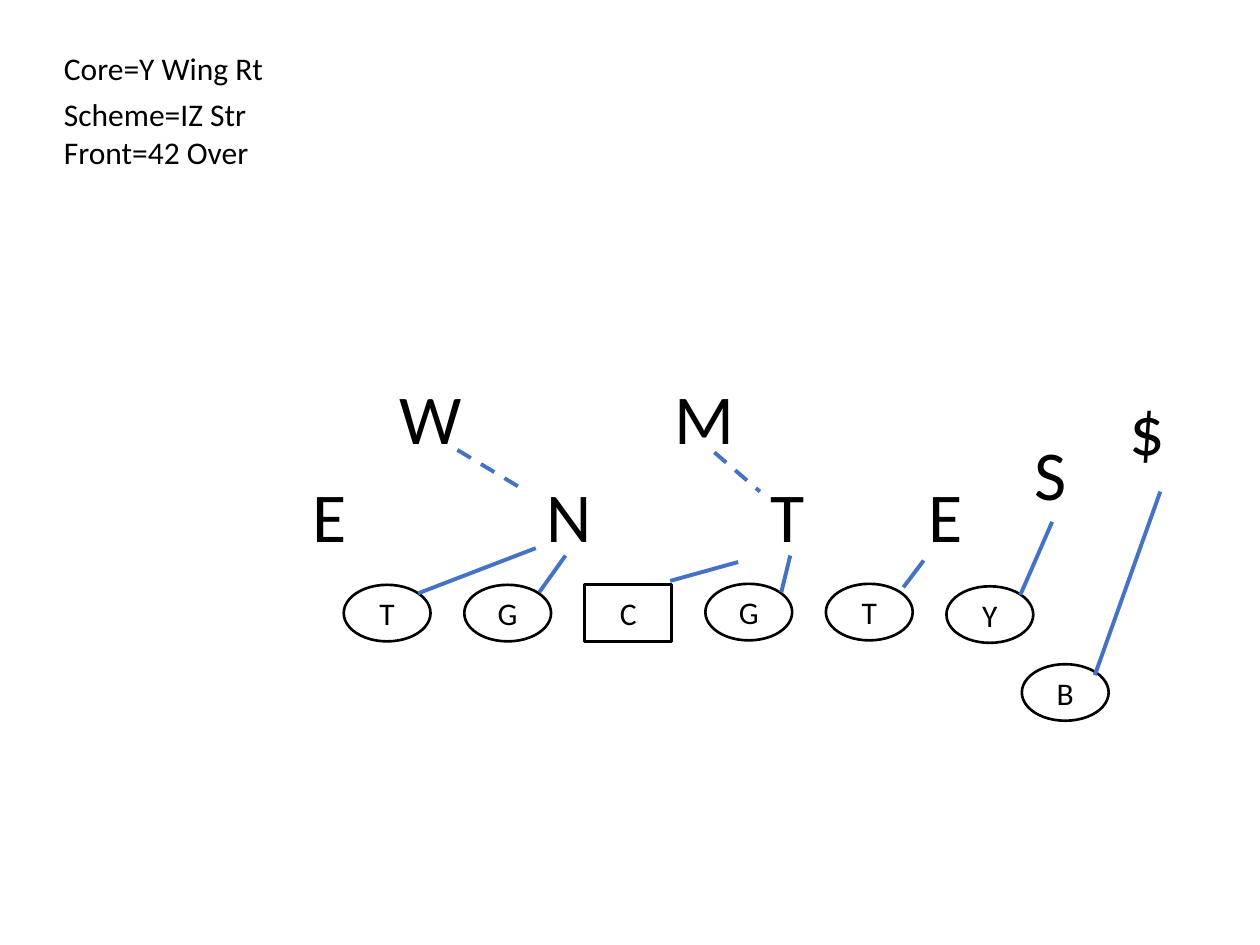
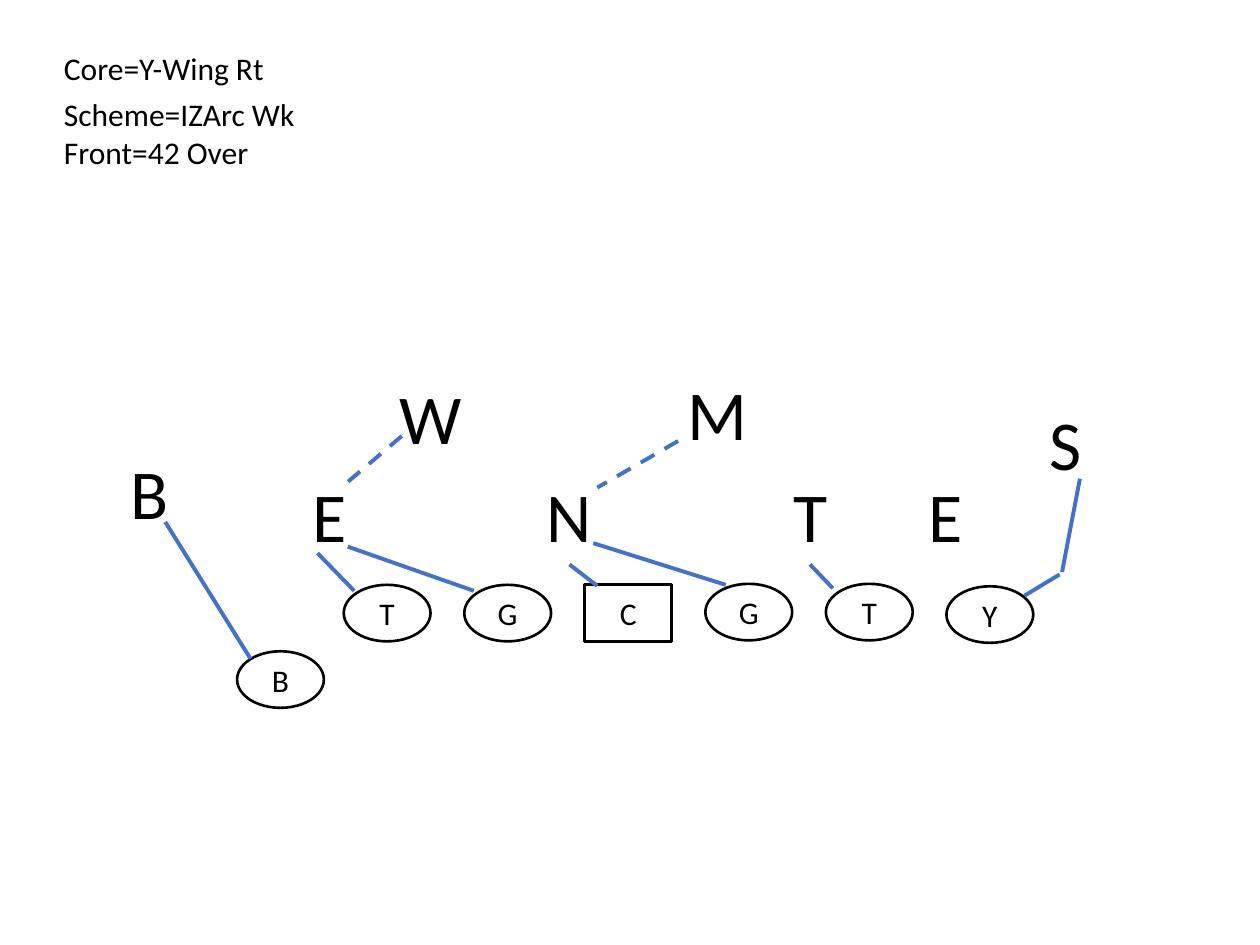
from lxml.etree import SubElement
from pptx import Presentation
from pptx.dml.color import RGBColor
from pptx.enum.dml import MSO_LINE
from pptx.enum.shapes import MSO_CONNECTOR, MSO_SHAPE
from pptx.enum.text import MSO_ANCHOR, MSO_AUTO_SIZE, PP_ALIGN
from pptx.oxml.ns import qn
from pptx.util import Cm, Pt

BLACK = RGBColor(0x00, 0x00, 0x00)
WHITE = RGBColor(0xFF, 0xFF, 0xFF)
BLUE = RGBColor(0x44, 0x72, 0xC4)
FONT = "Calibri"

CALL_BOX = (1.04, 0.86)
FIELD_BOX = (2.39, 7.34)

CALL_TOPS = (0, 0.94, 1.7)
CALL_HEIGHT = 1.02

PLAYER_W, PLAYER_H = 1.75, 1.14
LINE_LEFT, LINE_TOP, LINE_PITCH = 4.54, 4.43, 2.43
LINEMEN = [("T", 0.02), ("G", 0.02), ("C", 0.02), ("G", 0), ("T", 0), ("Y", 0.05)]

FRONT_TOP = 2.06
DEFENDER_H = 1.96
DEFENDER_W = {"N": 1.42, "T": 1.22, "E": 1.22, "S": 1.22,
              "W": 1.78, "M": 1.78, "$": 1.24, "B": 1.3}
COMMON_DEFENDERS = [("E", 3.66, FRONT_TOP), ("N", 8.38, FRONT_TOP),
                    ("E", 16.08, FRONT_TOP), ("W", 5.41, 0.08)]

PLAYS = [
    {
        "calls": [("Core=Y Wing Rt", 4.57), ("Scheme=IZ Str", 4.22), ("Front=42 Over", 4.42)],
        "back": (18.21, 6.05),
        "defenders": [("T", 12.9, FRONT_TOP), ("M", 10.95, 0.08),
                      ("S", 18.21, 1.22), ("$", 20.14, 0.31)],
        "blocks": [
            (8.48, 4.6, 9.01, 3.86),
            (11.12, 4.37, 12.49, 3.99),
            (13.36, 4.6, 13.54, 3.86),
            (6.04, 4.62, 8.41, 3.71),
            (16.23, 3.96, 15.82, 4.5),
            (18.18, 4.65, 18.82, 3.18),
            (19.68, 6.27, 21, 2.57),
        ],
        "climbs": [(12.01, 1.78, 12.93, 2.57), (6.83, 1.73, 8.23, 2.57)],
    },
    {
        "calls": [("Core=Y-Wing Rt", 4.62), ("Scheme=IZArc Wk", 5.21), ("Front=42 Over", 4.27)],
        "back": (2.39, 5.79),
        "defenders": [("T", 13.36, FRONT_TOP), ("M", 11.22, 0),
                      ("S", 18.51, 0.61), ("B", 0, 1.6)],
        "blocks": [
            (0.94, 3.18, 2.66, 5.94),
            (4.01, 3.81, 4.75, 4.57),
            (4.62, 3.68, 7.16, 4.57),
            (9.09, 4.04, 9.65, 4.47),
            (9.57, 3.61, 12.24, 4.45),
            (13.94, 4.04, 14.4, 4.52),
            (18.97, 4.24, 18.26, 4.67),
            (19.38, 2.31, 19.02, 4.19),
        ],
        "climbs": [(5.71, 1.45, 4.52, 2.46), (11.28, 1.55, 9.65, 2.49)],
    },
]


def add_run(p, text, size):
    r = p.add_run()
    r.text = text
    r.font.name = FONT
    r.font.size = Pt(size)
    r.font.color.rgb = BLACK


def add_label(s, text, left, top, width, height, size):
    sp = s.shapes.add_textbox(Cm(left), Cm(top), Cm(width), Cm(height))
    tf = sp.text_frame
    tf.word_wrap = False
    tf.auto_size = MSO_AUTO_SIZE.SHAPE_TO_FIT_TEXT
    add_run(tf.paragraphs[0], text, size)


def add_player(s, label, left, top):
    kind = MSO_SHAPE.RECTANGLE if label == "C" else MSO_SHAPE.OVAL
    sp = s.shapes.add_shape(kind, Cm(left), Cm(top), Cm(PLAYER_W), Cm(PLAYER_H))
    sp.shadow.inherit = False
    sp.fill.solid()
    sp.fill.fore_color.rgb = WHITE
    sp.line.color.rgb = BLACK
    sp.line.width = Pt(1.5)
    tf = sp.text_frame
    tf.vertical_anchor = MSO_ANCHOR.MIDDLE
    p = tf.paragraphs[0]
    p.alignment = PP_ALIGN.CENTER
    add_run(p, label, 18)


def add_path(s, x1, y1, x2, y2, dashed):
    cx = s.shapes.add_connector(MSO_CONNECTOR.STRAIGHT, Cm(x1), Cm(y1), Cm(x2), Cm(y2))
    cx.line.color.rgb = BLUE
    cx.line.width = Pt(2.25)
    if dashed:
        cx.line.dash_style = MSO_LINE.DASH
    SubElement(cx._element.spPr, qn("a:effectLst"))


def add_calls(s, box, calls):
    x, y = box
    for (text, width), top in zip(calls, CALL_TOPS):
        add_label(s, text, x, y + top, width, CALL_HEIGHT, 18)


def add_offense(s, box, back):
    x, y = box
    for i, (label, drop) in enumerate(LINEMEN):
        add_player(s, label, x + LINE_LEFT + i * LINE_PITCH, y + LINE_TOP + drop)
    add_player(s, "B", x + back[0], y + back[1])


def add_defense(s, box, defenders):
    x, y = box
    for label, left, top in COMMON_DEFENDERS + defenders:
        add_label(s, label, x + left, y + top, DEFENDER_W[label], DEFENDER_H, 40)


def add_assignments(s, box, paths, dashed=False):
    x, y = box
    for x1, y1, x2, y2 in paths:
        add_path(s, x + x1, y + y1, x + x2, y + y2, dashed)


def add_play(prs, play):
    s = prs.slides.add_slide(prs.slide_layouts[6])
    add_calls(s, CALL_BOX, play["calls"])
    add_offense(s, FIELD_BOX, play["back"])
    add_defense(s, FIELD_BOX, play["defenders"])
    add_assignments(s, FIELD_BOX, play["blocks"])
    add_assignments(s, FIELD_BOX, play["climbs"], dashed=True)


def main():
    prs = Presentation()
    prs.slide_width = Cm(25.4)
    prs.slide_height = Cm(19.05)
    for play in PLAYS:
        add_play(prs, play)
    prs.save("out.pptx")


if __name__ == "__main__":
    main()
